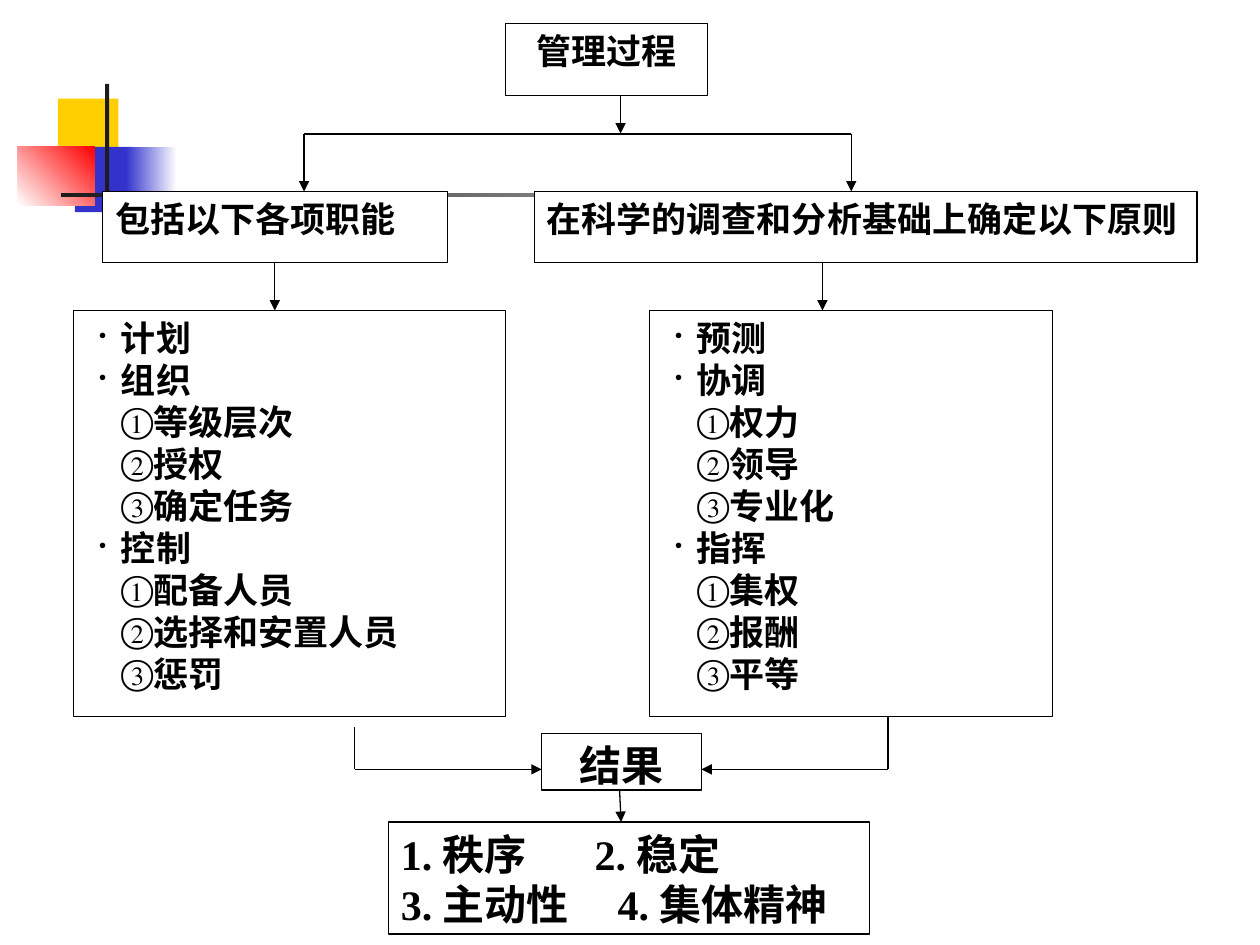
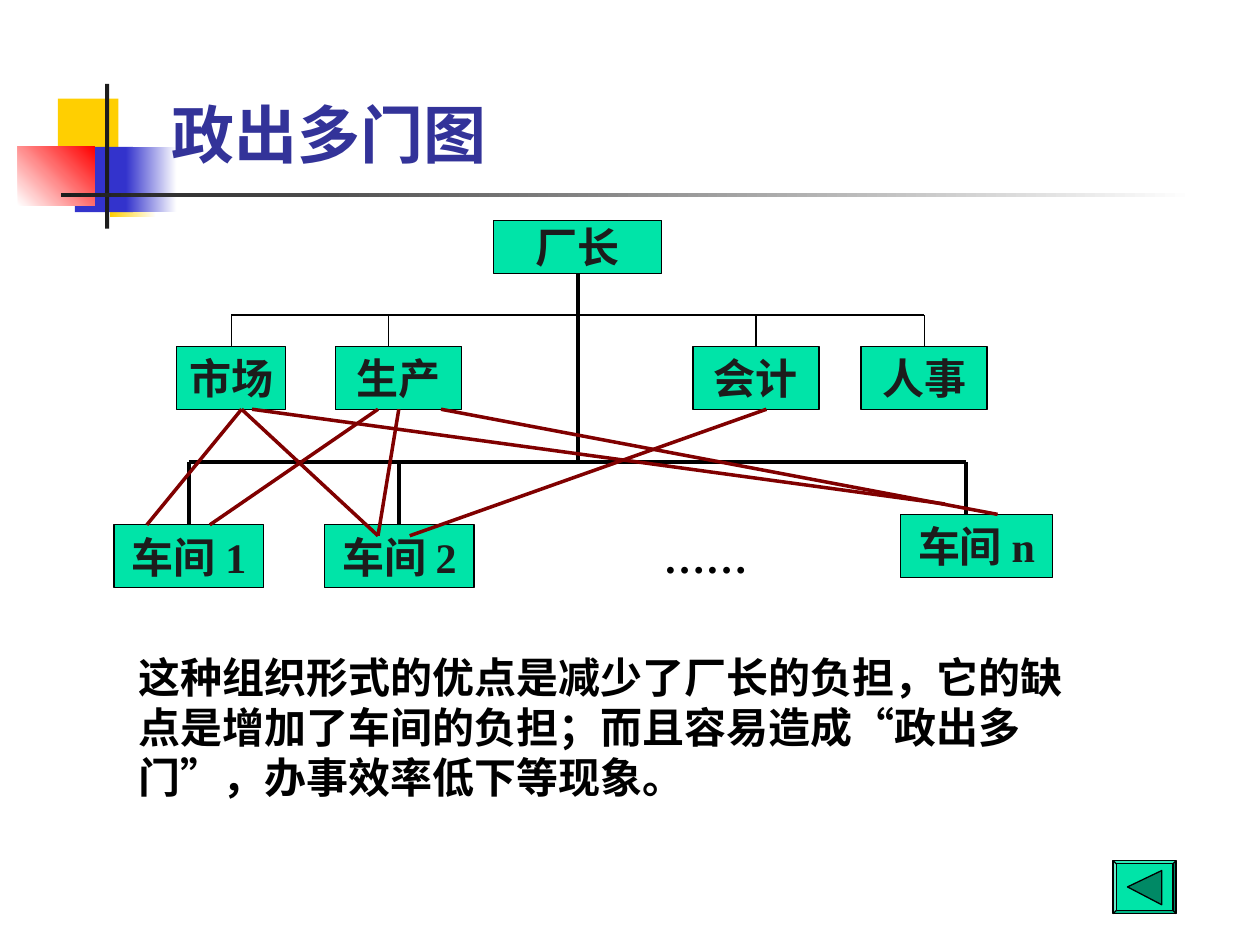
from lxml.etree import SubElement
from pptx import Presentation
from pptx.dml.color import RGBColor
from pptx.enum.shapes import MSO_CONNECTOR as Connector, MSO_SHAPE as Preset
from pptx.enum.text import MSO_ANCHOR as Anchor, PP_ALIGN as Align
from pptx.oxml.ns import qn
from pptx.util import Cm, Pt

COLORS = {
    "black": "000000", "white": "FFFFFF", "ink": "1C1C1C", "title": "333399",
    "yellow": "FFCF01", "blue": "3333CC", "red": "FF0000",
    "unit": "00E4A8", "unit_dark": "008965", "order": "800000",
}
SERIF = "Times New Roman"
SANS = "Noto Sans CJK SC"
TITLE_ONLY, BLANK = 5, 6
OUTLINE_INDENTS = [(0.71, -0.71), (1.3, -0.59)]


def rgb(name):
    return RGBColor.from_string(COLORS[name])


def style_font(font, size, color="black", name=SERIF):
    font.size, font.bold, font.name = Pt(size), True, name
    font.color.rgb = rgb(color)


def add_block(slide, box, fill, outline=None, preset=Preset.RECTANGLE):
    block = slide.shapes.add_shape(preset, *map(Cm, box))
    block.shadow.inherit = False
    block.fill.solid()
    block.fill.fore_color.rgb = rgb(fill)
    if outline:
        block.line.color.rgb = rgb(outline)
        block.line.width = Pt(0.75)
    else:
        block.line.fill.background()
    return block


def add_fade(slide, box, start, end, angle=0):
    fade = add_block(slide, box, start)
    fade.fill.gradient()
    fade.fill.gradient_angle = angle
    for stop, color in zip(fade.fill.gradient_stops, (start, end)):
        stop.color.rgb = rgb(color)


def add_emblem(slide):
    add_block(slide, (1.17, 1.99, 1.22, 1.32), "yellow")
    add_fade(slide, (2.22, 3.05, 0.93, 1.32), "yellow", "white")
    add_block(slide, (1.51, 2.96, 1.17, 1.32), "blue")
    add_fade(slide, (2.54, 2.96, 1.02, 1.32), "blue", "white")
    add_fade(slide, (0.36, 2.95, 1.55, 1.19), "white", "red", 45)
    add_block(slide, (2.12, 1.69, 0.08, 2.92), "ink")
    add_fade(slide, (1.23, 3.89, 22.86, 0.08), "ink", "white")


def add_line(slide, start, end, color="black", width=0.75, arrow=False):
    ends = map(Cm, (*start, *end))
    line = slide.shapes.add_connector(Connector.STRAIGHT, *ends)
    line.line.color.rgb = rgb(color)
    line.line.width = Pt(width)
    if arrow:
        SubElement(line.line._get_or_add_ln(), qn("a:tailEnd"), type="triangle")
    SubElement(line.element.spPr, qn("a:effectLst"))


def add_arrow(slide, start, end):
    add_line(slide, start, end, arrow=True)


def add_panel(slide, box, lines, size=20, align=Align.LEFT):
    frame = add_block(slide, box, "white", "black").text_frame
    frame.word_wrap = True
    frame.vertical_anchor = Anchor.TOP
    frame.text = "\n".join(lines)
    for paragraph in frame.paragraphs:
        paragraph.alignment = align
        style_font(paragraph.font, size)
    return frame


def add_outline(slide, box, sections):
    items = []
    for heading, details in sections:
        items.append((heading, "．", 0))
        items += [(detail, mark, 1) for mark, detail in zip("①②③", details)]
    frame = add_block(slide, box, "white", "black").text_frame
    frame.word_wrap = True
    frame.vertical_anchor = Anchor.TOP
    frame.text = "\n".join(text for text, _, _ in items)
    for paragraph, (_, mark, level) in zip(frame.paragraphs, items):
        paragraph.level = level
        paragraph.alignment = Align.LEFT
        margin, indent = OUTLINE_INDENTS[level]
        props = paragraph._p.get_or_add_pPr()
        props.set("marL", str(Cm(margin)))
        props.set("indent", str(Cm(indent)))
        SubElement(props, qn("a:buFont"), typeface=SERIF)
        SubElement(props, qn("a:buChar"), char=mark)
        style_font(paragraph.font, 20)


def set_tab(paragraph, position):
    props = paragraph._p.get_or_add_pPr()
    stops = SubElement(props, qn("a:tabLst"))
    SubElement(stops, qn("a:tab"), pos=str(Cm(position)), algn="l")
    props.insert(0, stops)


def add_unit(slide, box, name):
    frame = add_block(slide, box, "unit", "black").text_frame
    frame.word_wrap = False
    frame.vertical_anchor = Anchor.MIDDLE
    frame.text = name
    paragraph = frame.paragraphs[0]
    paragraph.alignment = Align.CENTER
    style_font(paragraph.font, 24, "ink")


def add_runs(paragraph, pieces):
    for text, font_name in pieces:
        run = paragraph.add_run()
        run.text, run.font.name = text, font_name


def add_note(slide, box, pieces, name):
    frame = slide.shapes.add_textbox(*map(Cm, box)).text_frame
    frame.word_wrap = True
    paragraph = frame.paragraphs[0]
    style_font(paragraph.font, 24, name=name)
    add_runs(paragraph, pieces)


def set_title(slide, pieces):
    title = slide.shapes.title
    title.element.getparent().append(title.element)
    title.left, title.top, title.width, title.height = map(Cm, (3.2, 1.24, 21.64, 2.34))
    title.text_frame.vertical_anchor = Anchor.BOTTOM
    paragraph = title.text_frame.paragraphs[0]
    paragraph.alignment = Align.LEFT
    style_font(paragraph.font, 36, "title", SANS)
    add_runs(paragraph, pieces)


def add_back_button(slide):
    button = add_block(slide, (22.44, 17.35, 1.27, 1.07), "unit", "black", Preset.BEVEL)
    button.adjustments[0] = 0.06
    builder = slide.shapes.build_freeform(Cm(22.73), Cm(17.88))
    builder.add_line_segments([(Cm(23.42), Cm(17.55)), (Cm(23.42), Cm(18.24))])
    pointer = builder.convert_to_shape()
    pointer.shadow.inherit = False
    pointer.fill.solid()
    pointer.fill.fore_color.rgb = rgb("unit_dark")
    pointer.line.color.rgb = rgb("black")
    pointer.line.width = Pt(0.75)


def build_process(deck):
    slide = deck.slides.add_slide(deck.slide_layouts[BLANK])
    add_emblem(slide)
    add_panel(slide, (10.19, 0.48, 4.08, 1.45), ["管理过程"], align=Align.CENTER)
    add_arrow(slide, (12.51, 1.93), (12.51, 2.69))
    add_line(slide, (6.13, 2.7), (17.16, 2.7))

    branches = [
        (6.13, 5.54, (2.07, 6.96), (1.48, 8.71), "包括以下各项职能", [
            ("计划", []),
            ("组织", ["等级层次", "授权", "确定任务"]),
            ("控制", ["配备人员", "选择和安置人员", "惩罚"])]),
        (17.16, 16.58, (10.77, 13.36), (13.09, 8.13), "在科学的调查和分析基础上确定以下原则", [
            ("预测", []),
            ("协调", ["权力", "领导", "专业化"]),
            ("指挥", ["集权", "报酬", "平等"])]),
    ]
    for entry, descent, head, body, heading, sections in branches:
        add_arrow(slide, (entry, 2.7), (entry, 3.86))
        add_panel(slide, (head[0], 3.86, head[1], 1.44), [heading])
        add_arrow(slide, (descent, 5.3), (descent, 6.26))
        add_outline(slide, (body[0], 6.26, body[1], 8.19), sections)

    for x, top, result_edge in [(7.15, 14.66, 10.92), (17.9, 14.45, 14.14)]:
        add_line(slide, (x, top), (x, 15.51))
        add_arrow(slide, (x, 15.51), (result_edge, 15.51))
    add_panel(slide, (10.92, 14.79, 3.22, 1.14), ["结果"], 24, Align.CENTER)
    outcomes = add_panel(slide, (7.83, 16.57, 9.7, 2.26),
                         ["1. 秩序\t2. 稳定", "3. 主动性\t4. 集体精神"], 24)
    for paragraph, position in zip(outcomes.paragraphs, (3.91, 4.37)):
        set_tab(paragraph, position)
    add_arrow(slide, (12.49, 15.93), (12.52, 16.57))


def build_many_bosses(deck):
    slide = deck.slides.add_slide(deck.slide_layouts[TITLE_ONLY])
    add_emblem(slide)
    set_title(slide, [("政出多门", SANS), ("图", SERIF)])

    add_unit(slide, (9.95, 4.44, 3.39, 1.07), "厂长")
    departments = [("市场", 3.56, 2.2, 4.66), ("生产", 6.77, 2.54, 7.83),
                   ("会计", 13.97, 2.54, 15.24), ("人事", 17.36, 2.54, 18.63)]
    for name, left, width, drop in departments:
        add_unit(slide, (left, 6.98, width, 1.27), name)
        add_line(slide, (drop, 6.35), (drop, 6.98))
    add_line(slide, (4.66, 6.35), (18.63, 6.35))

    workshops = [("车间 1", 2.3, 10.58, 3.02, 3.81), ("车间 2", 6.54, 10.58, 3.02, 8.04),
                 ("车间 n", 18.15, 10.37, 3.07, 19.47)]
    for name, left, top, width, drop in workshops:
        add_unit(slide, (left, top, width, 1.27), name)
        add_line(slide, (drop, 9.31), (drop, top), width=2.5)
    add_line(slide, (11.65, 5.51), (11.65, 9.31), width=2.5)
    add_line(slide, (3.81, 9.31), (19.47, 9.31), width=2.5)
    add_note(slide, (13.13, 10.58, 3.61, 1.27), [("……", SERIF)], SERIF)

    orders = [(4.87, 7.62, 10.8), (5.08, 19.05, 10.16), (4.87, 2.96, 10.58),
              (7.62, 4.23, 10.58), (8.04, 7.62, 10.8), (8.89, 20.11, 10.37),
              (15.45, 8.26, 10.8)]
    for source, target, bottom in orders:
        add_line(slide, (source, 8.25), (target, bottom), "order", 2)

    add_back_button(slide)
    add_note(slide, (2.54, 13, 19.25, 3.3), [
        ("这种组织形式的优点是减少了厂长的负担，它的缺点是增加了车间的负担；而且容易造成", SANS),
        ("“", SERIF), ("政出多门", SANS), ("”", SERIF),
        ("，办事效率低下等现象。", SANS)], SANS)


def main():
    deck = Presentation()
    deck.slide_width, deck.slide_height = Cm(25.4), Cm(19.05)
    build_process(deck)
    build_many_bosses(deck)
    deck.save("out.pptx")


if __name__ == "__main__":
    main()
